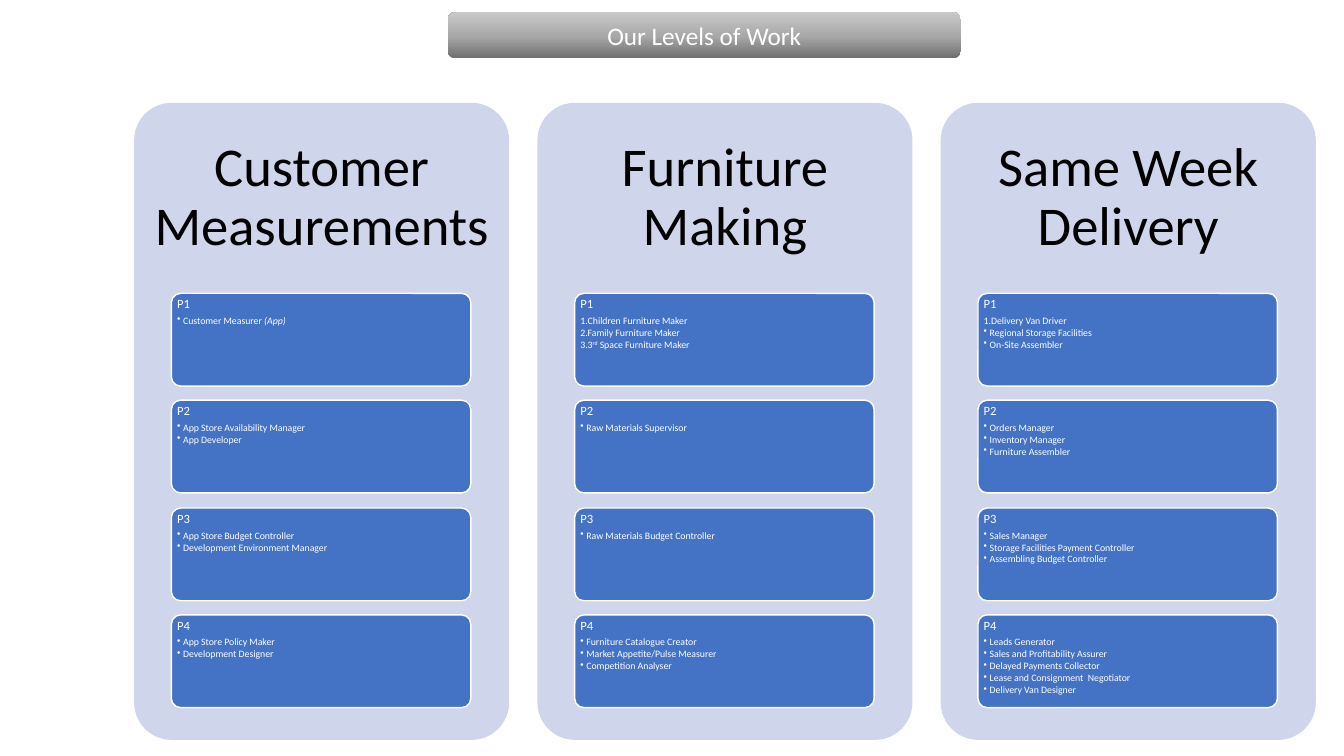
from copy import deepcopy

from lxml import etree
from pptx import Presentation
from pptx import util as u
from pptx.dml.color import RGBColor
from pptx.enum import shapes, text
from pptx.oxml.ns import qn

PX = 9144
FONT = "Calibri"
COLORS = {
    "white": "FFFFFF",
    "black": "000000",
    "panel": "CFD5EA",
    "card": "4472C4",
    "bar_dark": "6F6F6F",
    "bar_mid": "A8A8A8",
    "bar_light": "C9C9C9",
}
BAR_STOPS = [(0, "bar_dark"), (0.48, "bar_mid"), (1, "bar_light")]

# Each card holds its count of numbered entries and the entries themselves.
COLUMNS = [
    ("Customer Measurements", [
        (0, [[("Customer Measurer ", None), ("(App)", "italic")]]),
        (0, ["App Store Availability Manager", "App Developer"]),
        (0, ["App Store Budget Controller", "Development Environment Manager"]),
        (0, ["App Store Policy Maker", "Development Designer"]),
    ]),
    ("Furniture Making", [
        (3, ["Children Furniture Maker", "Family Furniture Maker",
             [("3", None), ("rd", "superscript"), (" Space Furniture Maker", None)]]),
        (0, ["Raw Materials Supervisor"]),
        (0, ["Raw Materials Budget Controller"]),
        (0, ["Furniture Catalogue Creator", "Market Appetite/Pulse Measurer",
             "Competition Analyser"]),
    ]),
    ("Same Week Delivery", [
        (1, ["Delivery Van Driver", "Regional Storage Facilities", "On-Site Assembler"]),
        (0, ["Orders Manager", "Inventory Manager", "Furniture Assembler"]),
        (0, ["Sales Manager", "Storage Facilities Payment Controller",
             "Assembling Budget Controller"]),
        (0, ["Leads Generator", "Sales and Profitability Assurer",
             "Delayed Payments Collector", "Lease and Consignment  Negotiator",
             "Delivery Van Designer"]),
    ]),
]


def rgb(name):
    """Return the named colour."""
    return RGBColor.from_string(COLORS[name])


def emu(*lengths):
    """Turn px lengths into EMU."""
    return [u.Emu(length * PX) for length in lengths]


def add_round_box(slide, box, fill=None, line=None, corner=0.1):
    """Add a rounded rectangle with an optional fill and outline."""
    shape = slide.shapes.add_shape(shapes.MSO_SHAPE.ROUNDED_RECTANGLE, *emu(*box))
    shape.adjustments[0] = corner
    shape.shadow.inherit = False
    if fill:
        shape.fill.solid()
        shape.fill.fore_color.rgb = rgb(fill)
    if line:
        shape.line.color.rgb = rgb(line)
        shape.line.width = u.Pt(1)
    else:
        shape.line.fill.background()
    return shape


def set_frame(frame, anchor, across, down):
    """Set wrapping, anchor and insets of a text frame."""
    frame.word_wrap = True
    frame.auto_size = text.MSO_AUTO_SIZE.NONE
    frame.vertical_anchor = anchor
    frame.margin_left, frame.margin_right = emu(across, across)
    frame.margin_top, frame.margin_bottom = emu(down, down)


def format_paragraph(paragraph, size, color, align, spacing=0.9, after=0):
    """Format a paragraph and its runs."""
    paragraph.alignment = align
    paragraph.line_spacing = spacing
    paragraph.space_before = u.Pt(0)
    paragraph.space_after = u.Pt(after)
    for run in paragraph.runs:
        run.font.name = FONT
        run.font.size = u.Pt(size)
        run.font.color.rgb = rgb(color)


def add_marker(paragraph, numbered):
    """Give a paragraph a hanging bullet or number."""
    properties = paragraph._p.get_or_add_pPr()
    properties.set("marL", str(6 * PX))
    properties.set("indent", str(-6 * PX))
    if numbered:
        etree.SubElement(properties, qn("a:buAutoNum"), type="arabicPeriod")
    else:
        etree.SubElement(properties, qn("a:buChar"), char="•")


def add_entry(frame, entry, numbered):
    """Add one role to a card."""
    paragraph = frame.add_paragraph()
    paragraph.level = 1
    parts = [(entry, None)] if isinstance(entry, str) else entry
    for words, style in parts:
        run = paragraph.add_run()
        run.text = words
        if style == "italic":
            run.font.italic = True
        elif style == "superscript":
            run.font._element.set("baseline", "30000")
    format_paragraph(paragraph, 7, "white", text.PP_ALIGN.LEFT, after=1)
    add_marker(paragraph, numbered)


def add_card(slide, box, label, numbered_count, entries):
    """Add a card with its level label and roles."""
    frame = add_round_box(slide, box, "card", "white").text_frame
    set_frame(frame, text.MSO_ANCHOR.TOP, 3, 2)
    frame.text = label
    format_paragraph(frame.paragraphs[0], 9, "white", text.PP_ALIGN.LEFT, after=3)
    for index, entry in enumerate(entries):
        add_entry(frame, entry, index < numbered_count)


def add_column(slide, box, heading, cards):
    """Add a panel with its heading and stacked cards."""
    left, top, width, height = box
    add_round_box(slide, box, "panel")
    frame = slide.shapes.add_textbox(*emu(left, top, width, 190)).text_frame
    set_frame(frame, text.MSO_ANCHOR.MIDDLE, 16, 16)
    frame.text = heading
    format_paragraph(frame.paragraphs[0], 39, "black", text.PP_ALIGN.CENTER)
    for index, (numbered_count, entries) in enumerate(cards):
        card_top = top + 189 + round(index * 319 / 3)
        add_card(slide, (left + 37, card_top, width - 75, 92),
                 f"P{index + 1}", numbered_count, entries)


def add_title_bar(slide, box):
    """Add the gradient bar and lay the slide title over it."""
    bar = add_round_box(slide, box, corner=0.17)
    bar.fill.gradient()
    bar.fill.gradient_angle = 90
    stop_list = bar.element.xpath(".//a:gsLst")[0]
    stop_list.append(deepcopy(stop_list[-1]))
    for stop, (position, color) in zip(bar.fill.gradient_stops, BAR_STOPS):
        stop.position = position
        stop.color.rgb = rgb(color)
    title = slide.shapes.title
    title.left, title.top, title.width, title.height = emu(*box)
    set_frame(title.text_frame, text.MSO_ANCHOR.MIDDLE, 10, 5)
    title.text_frame.text = "Our Levels of Work"
    format_paragraph(title.text_frame.paragraphs[0], 18, "white",
                     text.PP_ALIGN.CENTER, spacing=1.0)
    bar.element.addnext(title.element)


def main():
    """Build and save the slide."""
    presentation = Presentation()
    presentation.slide_width, presentation.slide_height = emu(1333, 750)
    slide = presentation.slides.add_slide(presentation.slide_layouts[5])
    add_title_bar(slide, (444, 12, 509, 46))
    for index, (heading, cards) in enumerate(COLUMNS):
        add_column(slide, (133 + 400 * index, 102, 372, 632), heading, cards)
    presentation.save("out.pptx")


if __name__ == "__main__":
    main()
